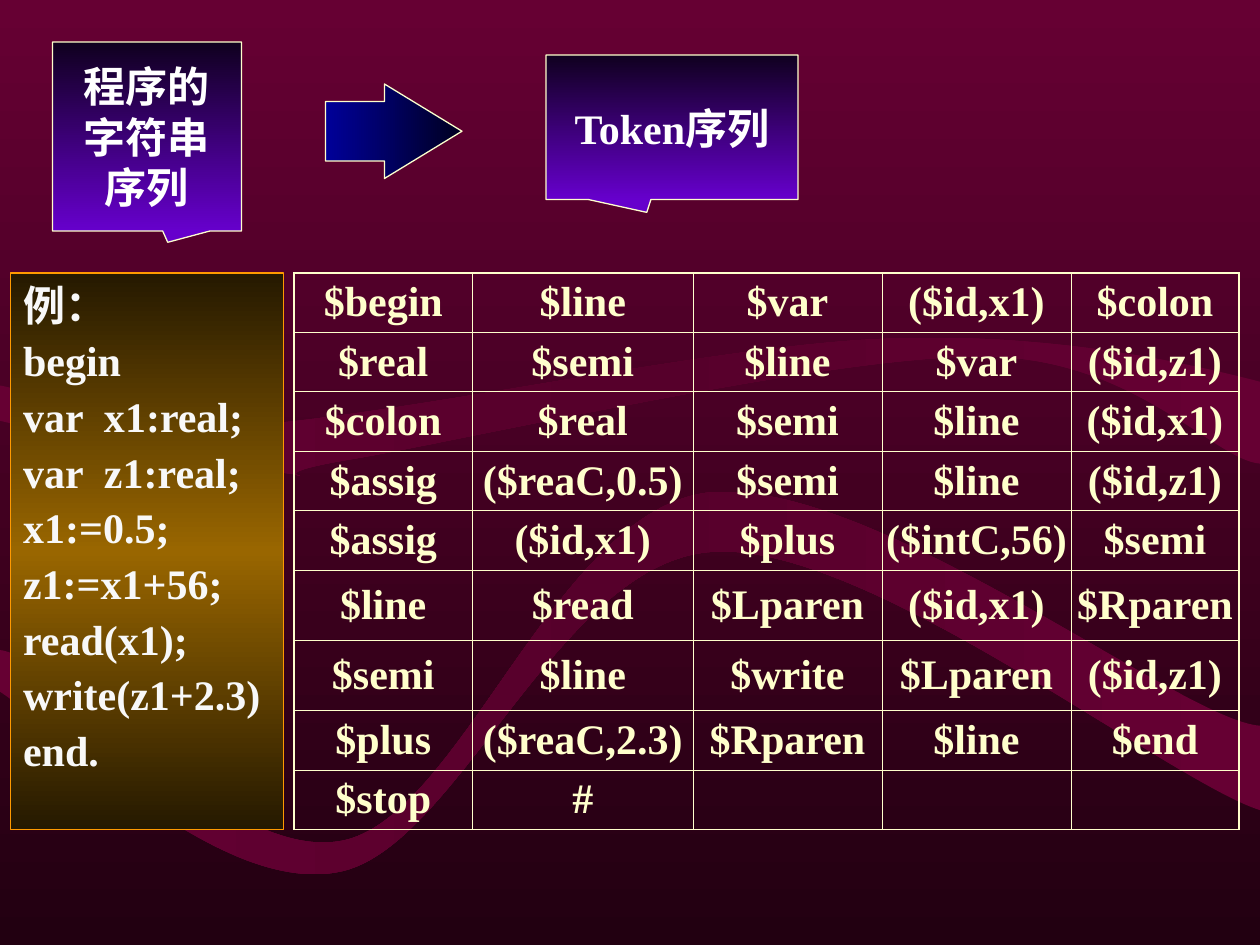
import copy
from dataclasses import dataclass

import pptx
import pptx.dml.color
import pptx.enum.shapes
import pptx.enum.text
import pptx.oxml
import pptx.oxml.ns
import pptx.util

SHAPE = pptx.enum.shapes.MSO_SHAPE
ALIGN = pptx.enum.text.PP_ALIGN
ANCHOR = pptx.enum.text.MSO_ANCHOR
CELL = 1 / 12  # grid step in inches: the slide is 120 by 90 cells


@dataclass(frozen=True)
class Theme:
    font: str = "Times New Roman"
    size: int = 24
    edge: float = 0.75
    thick: float = 1.08
    thin: float = 0.45
    white: str = "FFFFFF"
    pale: str = "F8F8F8"
    cream: str = "FFFFCC"
    amber: str = "FF9900"
    back: tuple = ("660033", "220011")
    wave: tuple = ("660033", "56002B", "660033")
    violet: tuple = ("10001F", "6600CC")
    blue: tuple = ("000099", "000020")
    gold: tuple = ("251900", "996600", "251900")


THEME = Theme()

# Wave outlines in inches: a pair is a line, six numbers are a curve
WAVES = [
    [(0, 3.06), (0, 3.34),
     (0.37, 3.43, 1.75, 3.7, 2.22, 3.75), (2.69, 3.8, 1.9, 3.79, 2.82, 3.64),
     (3.75, 3.48, 6.6, 2.82, 7.8, 2.83), (9, 2.83, 9.63, 3.65, 10, 3.68),
     (10, 3.03), (9.5, 2.9, 8.36, 2.63, 7.01, 2.69),
     (5.66, 2.74, 3.07, 3.32, 1.9, 3.38), (0.73, 3.44, 0.4, 3.13, 0, 3.06)],
    [(0, 5.16), (0, 5.49),
     (0.45, 5.78, 1.74, 7.11, 2.69, 6.92), (3.63, 6.74, 4.43, 4.46, 5.65, 4.38),
     (6.87, 4.29, 9.27, 6.2, 10, 6.43), (10, 5.76),
     (9.38, 5.72, 6.91, 3.77, 5.62, 3.91), (4.41, 4.06, 3.67, 6.46, 2.73, 6.67),
     (1.79, 6.87, 0.45, 5.2, 0, 5.16)],
]

CODE = ["例：", "begin", "var  x1:real;", "var  z1:real;", "x1:=0.5;",
        "z1:=x1+56;", "read(x1);", "write(z1+2.3)", "end."]

TOKENS = """
$begin $line $var ($id,x1) $colon
$real $semi $line $var ($id,z1)
$colon $real $semi $line ($id,x1)
$assig ($reaC,0.5) $semi $line ($id,z1)
$assig ($id,x1) $plus ($intC,56) $semi
$line $read $Lparen ($id,x1) $Rparen
$semi $line $write $Lparen ($id,z1)
$plus ($reaC,2.3) $Rparen $line $end
$stop #
"""
COLS = [17, 21, 18, 18, 16]
ROWS = [5.66] * 5 + [6.69] * 2 + [5.66] * 2


def span(*cells):
    return [pptx.util.Inches(n * CELL) for n in cells]


def tint(code):
    return pptx.dml.color.RGBColor.from_string(code)


def shade(fill, hues, down=True):
    """Spread the hues evenly, from the top down or from left to right."""
    fill.gradient()
    fill.gradient_angle = 270 if down else 0
    stops = fill.gradient_stops[0]._gs.getparent()
    for _ in hues[2:]:
        stops.append(copy.deepcopy(stops[0]))
    for num, (stop, hue) in enumerate(zip(fill.gradient_stops, hues)):
        stop.color.rgb = tint(hue)
        stop.position = num / (len(hues) - 1)


def trim(shape, hue):
    shape.line.color.rgb = tint(hue)
    shape.line.width = pptx.util.Pt(THEME.edge)


def write(frame, lines, hue=THEME.white, align=ALIGN.CENTER, gap=0):
    for num, line in enumerate(lines):
        para = frame.paragraphs[0] if num == 0 else frame.add_paragraph()
        para.text = line
        para.alignment = align
        para.space_before = pptx.util.Pt(gap if num else 0)
        font = para.font
        font.name, font.size, font.bold = THEME.font, pptx.util.Pt(THEME.size), True
        font.color.rgb = tint(hue)


def add_wave(slide, legs):
    points = [(round(leg[n] * 100), round(leg[n + 1] * 100))
              for leg in legs for n in range(0, len(leg), 2)]
    maker = slide.shapes.build_freeform(*points[0], scale=pptx.util.Inches(0.01))
    maker.add_line_segments(points[1:], close=True)
    wave = maker.convert_to_shape()
    # Join each curve's three line steps into one Bezier step
    steps = iter(list(wave._element.iter(pptx.oxml.ns.qn("a:lnTo"))))
    for leg in legs[1:]:
        group = [next(steps) for _ in range(len(leg) // 2)]
        if len(group) == 3:
            curve = group[0].makeelement(pptx.oxml.ns.qn("a:cubicBezTo"), {})
            group[0].addprevious(curve)
            for step in group:
                curve.append(step[0])
                step.getparent().remove(step)
    wave.shadow.inherit = False
    wave.line.fill.background()
    shade(wave.fill, THEME.wave, down=False)


def add_form(slide, kind, place, bends, hues, down=True, lines=()):
    form = slide.shapes.add_shape(kind, *span(*place))
    form.shadow.inherit = False
    for num, bend in enumerate(bends):
        form.adjustments[num] = bend
    shade(form.fill, hues, down)
    trim(form, THEME.cream)
    form.text_frame.vertical_anchor = ANCHOR.MIDDLE
    write(form.text_frame, lines)


def add_code(slide, place):
    body = slide.placeholders[1]
    body.left, body.top, body.width, body.height = span(*place)
    shade(body.fill, THEME.gold)
    trim(body, THEME.amber)
    frame = body.text_frame
    frame.auto_size = pptx.enum.text.MSO_AUTO_SIZE.NONE
    frame.vertical_anchor = ANCHOR.TOP
    write(frame, CODE, hue=THEME.pale, align=ALIGN.LEFT, gap=3)
    for para in frame.paragraphs:  # hanging indent without a bullet
        props = para._p.get_or_add_pPr()
        props.set("marL", str(pptx.util.Inches(0.38)))
        props.set("indent", str(-pptx.util.Inches(0.38)))
        none = props.makeelement(pptx.oxml.ns.qn("a:buNone"), {})
        props.find(pptx.oxml.ns.qn("a:spcBef")).addnext(none)
    slide.shapes._spTree.append(body._element)  # bring in front of the waves


def rule(cell, side, width):
    space = pptx.oxml.ns.nsdecls("a")
    cell._tc.get_or_add_tcPr().append(pptx.oxml.parse_xml(
        f'<a:ln{side} {space} w="{pptx.util.Pt(width)}"><a:solidFill>'
        f'<a:srgbClr val="{THEME.cream}"/></a:solidFill></a:ln{side}>'))


def add_grid(slide, left, top):
    high, wide = len(ROWS), len(COLS)
    place = span(left, top, sum(COLS), sum(ROWS))
    table = slide.shapes.add_table(high, wide, *place).table
    table.first_row = table.horz_banding = False
    for col, size in zip(table.columns, span(*COLS)):
        col.width = size
    for row, size in zip(table.rows, span(*ROWS)):
        row.height = size
    words = [line.split() for line in TOKENS.strip().splitlines()]
    for r in range(high):
        for c in range(wide):
            cell = table.cell(r, c)
            cell.margin_left = cell.margin_right = 0
            cell.vertical_anchor = ANCHOR.MIDDLE
            outer = {"L": c == 0, "R": c == wide - 1, "T": r == 0, "B": r == high - 1}
            for side, rim in outer.items():
                rule(cell, side, THEME.thick if rim else THEME.thin)
            cell.fill.background()
            if c < len(words[r]):
                write(cell.text_frame, [words[r][c]], hue=THEME.cream)


def main():
    deck = pptx.Presentation()
    deck.slide_width, deck.slide_height = span(120, 90)
    slide = deck.slides.add_slide(deck.slide_layouts[1])
    title = slide.shapes.title._element
    title.getparent().remove(title)

    # Backdrop
    shade(slide.background.fill, THEME.back)
    for legs in WAVES:
        add_wave(slide, legs)

    # Source text
    add_form(slide, SHAPE.RECTANGULAR_CALLOUT, (5, 4, 18, 18), (0.11, 0.56),
             THEME.violet, lines=["程序的", "字符串", "序列"])

    # Example: code and its tokens
    add_code(slide, (1, 26, 26, 53))
    add_grid(slide, 28, 26)

    # Arrow to the token sequence
    add_form(slide, SHAPE.RIGHT_ARROW, (31, 8, 13, 9), (0.63, 0.82),
             THEME.blue, down=False)
    add_form(slide, SHAPE.RECTANGULAR_CALLOUT, (52, 5.25, 24, 13.75),
             (-0.1, 0.59), THEME.violet, lines=["Token序列"])
    deck.save("out.pptx")


if __name__ == "__main__":
    main()
